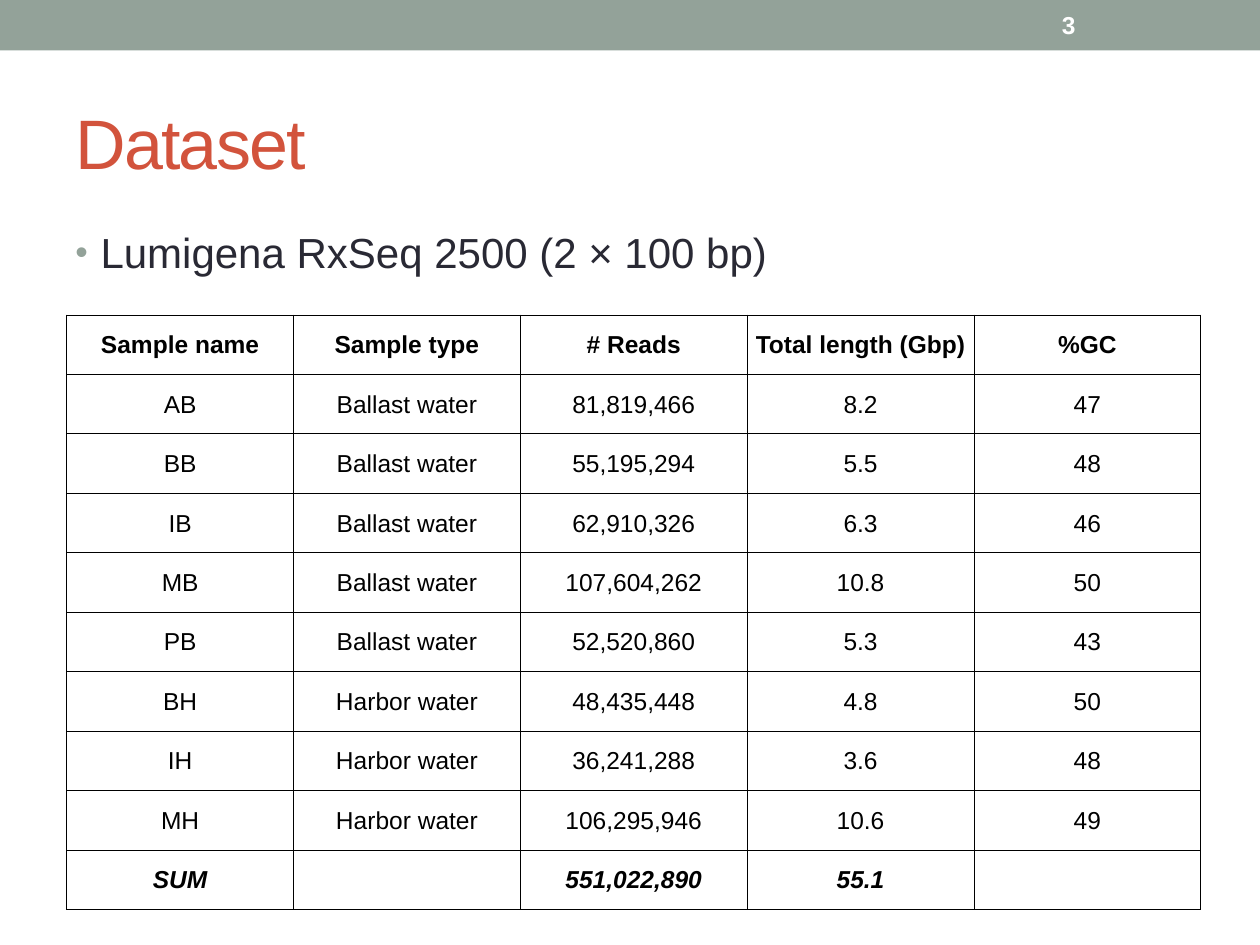
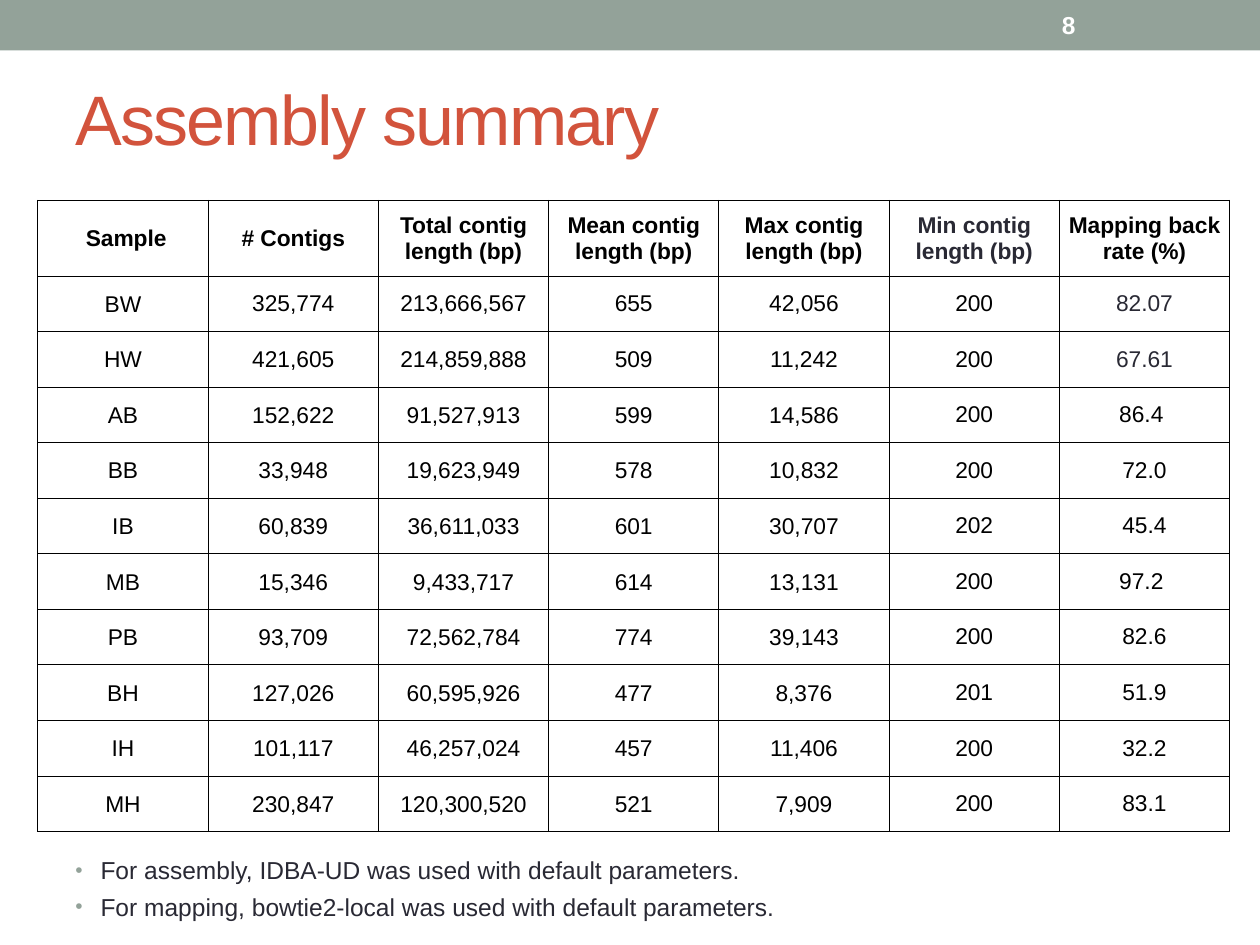
from dataclasses import dataclass, field
from typing import Callable

from lxml.etree import SubElement as Sub
from pptx import Presentation
from pptx.dml.color import RGBColor as RGB
from pptx.enum.shapes import MSO_SHAPE as Kind
from pptx.enum.text import MSO_ANCHOR as Anchor, PP_ALIGN as Align
from pptx.oxml import parse_xml
from pptx.oxml.ns import nsdecls, qn
from pptx.util import Inches, Pt

# Shared look
FACE = "Arial"
BAND = RGB(0x93, 0xA2, 0x99)
RUST = RGB(0xD2, 0x53, 0x3C)
INK = RGB(0x29, 0x29, 0x34)
BLACK = RGB(0, 0, 0)
WHITE = RGB(0xFF, 0xFF, 0xFF)


@dataclass
class Style:
    size: int
    color: RGB
    bold: bool = False
    slant: bool = False


@dataclass
class Grid:
    left: float
    top: float
    width: float
    height: float
    head: float  # height of the header row
    size: int
    rows: list[str]  # cells are parted by "|"
    dim: set[tuple[int, int]] = field(default_factory=set)
    tight: Callable[[int, int], bool] = lambda row, col: False


@dataclass
class Page:
    number: str
    title: str
    top: float  # top of the title
    grid: Grid
    notes: list[str]
    base: float  # top of the bullets
    size: int


READS = Grid(0.53, 2.5, 9, 4.72, 0.47, 14, [
    "Sample name|Sample type|# Reads|Total length (Gbp)|%GC",
    "AB|Ballast water|81,819,466|8.2|47",
    "BB|Ballast water|55,195,294|5.5|48",
    "IB|Ballast water|62,910,326|6.3|46",
    "MB|Ballast water|107,604,262|10.8|50",
    "PB|Ballast water|52,520,860|5.3|43",
    "BH|Harbor water|48,435,448|4.8|50",
    "IH|Harbor water|36,241,288|3.6|48",
    "MH|Harbor water|106,295,946|10.6|49",
    "SUM||551,022,890|55.1|",
])

CONTIGS = Grid(0.3, 1.59, 9.46, 5.01, 0.6, 13, [
    " Sample|# Contigs|Total contig length (bp)|Mean contig length (bp)"
    "|Max contig length (bp)|Min contig length (bp)|Mapping back rate (%)",
    "BW|325,774|213,666,567|655|42,056|200|82.07",
    "HW|421,605|214,859,888|509|11,242|200|67.61",
    "AB|152,622|91,527,913|599|14,586|200|86.4 ",
    "BB|33,948|19,623,949|578|10,832|200|72.0",
    "IB|60,839|36,611,033|601|30,707|202|45.4",
    "MB|15,346|9,433,717|614|13,131|200|97.2 ",
    "PB|93,709|72,562,784|774|39,143|200|82.6",
    "BH|127,026|60,595,926|477|8,376|201|51.9",
    "IH|101,117|46,257,024|457|11,406|200|32.2",
    "MH|230,847|120,300,520|521|7,909|200|83.1",
], dim={(0, 5), (1, 6), (2, 6)},
    tight=lambda row, col: row > 0 and col > (0 if row < 3 else 4))

PAGES = [
    Page("3", "Dataset", 0.58, READS,
         ["Lumigena RxSeq 2500 (2 × 100 bp)"], 1.75, 24),
    Page("8", "Assembly summary", 0.39, CONTIGS,
         ["For assembly, IDBA-UD was used with default parameters.",
          "For mapping, bowtie2-local was used with default parameters."],
         6.74, 14),
]


def add_run(para, text: str, style: Style):
    run = para.add_run()
    run.text = text
    font = run.font
    font.name, font.size = FACE, Pt(style.size)
    font.bold, font.italic = style.bold, style.slant
    font.color.rgb = style.color
    return run


def add_box(slide, left: float, top: float, width: float, height: float,
            anchor=Anchor.MIDDLE):
    box = slide.shapes.add_textbox(
        Inches(left), Inches(top), Inches(width), Inches(height))
    frame = box.text_frame
    frame.word_wrap = True
    frame.vertical_anchor = anchor
    return frame


def add_band(slide, number: str) -> None:
    band = slide.shapes.add_shape(Kind.RECTANGLE, 0, 0, Inches(10), Inches(0.4))
    band.shadow.inherit = False
    band.fill.solid()
    band.fill.fore_color.rgb = BAND
    band.line.fill.background()
    frame = add_box(slide, 8.33, 0.02, 1.17, 0.36)
    add_run(frame.paragraphs[0], number, Style(14, WHITE, bold=True))


def add_title(slide, text: str, top: float) -> None:
    frame = add_box(slide, 0.5, top, 9, 1.08)
    run = add_run(frame.paragraphs[0], text, Style(40, RUST))
    run.font._element.set("spc", "-100")


def add_notes(slide, page: Page) -> None:
    frame = add_box(slide, 0.5, page.base, 9, 0.64, Anchor.TOP)
    for i, note in enumerate(page.notes):
        para = frame.add_paragraph() if i else frame.paragraphs[0]
        props = para._p.get_or_add_pPr()
        props.set("marL", str(Inches(0.2)))
        props.set("indent", str(Inches(-0.2)))
        tint = Sub(props, qn("a:buClr"))
        Sub(tint, qn("a:srgbClr"), val=str(BAND))
        Sub(props, qn("a:buSzPct"), val="85000")
        Sub(props, qn("a:buFont"), typeface=FACE)
        Sub(props, qn("a:buChar"), char="•")
        if i:
            para.space_before = Pt(4)
        add_run(para, note, Style(page.size, INK))


def add_edges(cell) -> None:
    props = cell._tc.get_or_add_tcPr()
    for i, side in enumerate("LRTB"):
        props.insert(i, parse_xml(
            f'<a:ln{side} {nsdecls("a")} w="{Pt(0.5)}"><a:solidFill>'
            f'<a:srgbClr val="{BLACK}"/></a:solidFill></a:ln{side}>'))


def fill_cell(cell, text: str, style: Style, tight: bool) -> None:
    cell.fill.solid()
    cell.fill.fore_color.rgb = WHITE
    add_edges(cell)
    cell.vertical_anchor = Anchor.MIDDLE
    pad = Inches(0 if tight else 0.01)
    cell.margin_left = cell.margin_right = cell.margin_top = pad
    cell.margin_bottom = 0
    if text:
        para = cell.text_frame.paragraphs[0]
        para.alignment = Align.CENTER
        add_run(para, text, style)


def add_grid(slide, grid: Grid) -> None:
    cells = [row.split("|") for row in grid.rows]
    count, span = len(cells), len(cells[0])
    table = slide.shapes.add_table(
        count, span, Inches(grid.left), Inches(grid.top),
        Inches(grid.width), Inches(grid.height)).table
    table.first_row = table.horz_banding = False
    for col in table.columns:
        col.width = Inches(grid.width / span)
    for r, row in enumerate(cells):
        rest = (grid.height - grid.head) / (count - 1)
        table.rows[r].height = Inches(rest if r else grid.head)
        total = row[0] == "SUM"
        for c, text in enumerate(row):
            color = INK if (r, c) in grid.dim else BLACK
            style = Style(grid.size, color, r == 0 or total, total)
            fill_cell(table.cell(r, c), text, style, grid.tight(r, c))


def main() -> None:
    deck = Presentation()
    deck.slide_width, deck.slide_height = Inches(10), Inches(7.5)
    for page in PAGES:
        slide = deck.slides.add_slide(deck.slide_layouts[6])
        add_band(slide, page.number)
        add_title(slide, page.title, page.top)
        add_grid(slide, page.grid)
        add_notes(slide, page)
    deck.save("out.pptx")


if __name__ == "__main__":
    main()
